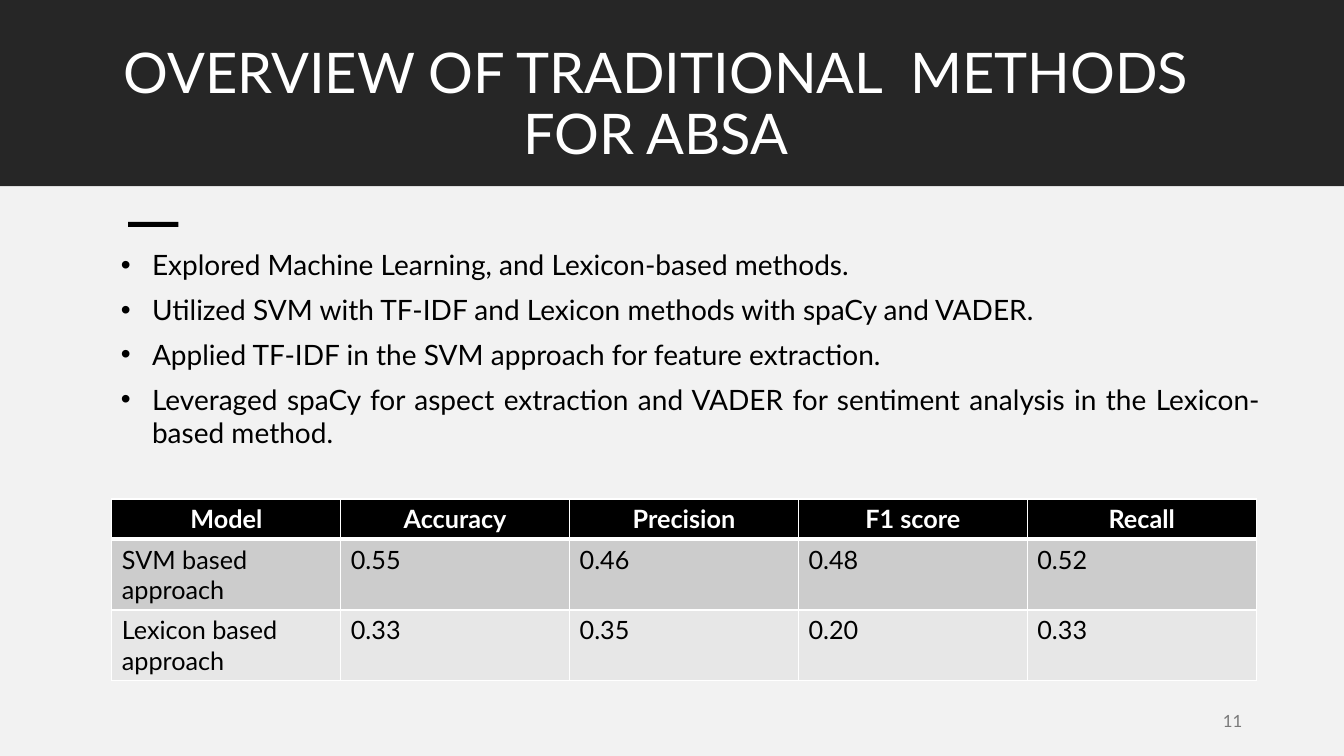
from dataclasses import dataclass

from lxml import etree
from pptx import Presentation
from pptx.dml.color import RGBColor
from pptx.enum.shapes import MSO_SHAPE
from pptx.enum.text import MSO_ANCHOR, MSO_AUTO_SIZE, PP_ALIGN
from pptx.oxml.ns import qn
from pptx.util import Inches, Pt

RECT = MSO_SHAPE.RECTANGLE
LEFT, CENTER, RIGHT = PP_ALIGN.LEFT, PP_ALIGN.CENTER, PP_ALIGN.RIGHT
JUSTIFY = PP_ALIGN.JUSTIFY
TOP, MIDDLE = MSO_ANCHOR.TOP, MSO_ANCHOR.MIDDLE
NO_AUTOFIT = MSO_AUTO_SIZE.NONE
TITLE_ONLY = 5


@dataclass(frozen=True)
class Theme:
    """Colours, font and type sizes of the slide."""
    font: str = "Lato"
    band: str = "262626"
    panel: str = "F2F2F2"
    ink: str = "000000"
    paper: str = "FFFFFF"
    muted: str = "797979"
    row_fills: tuple = ("CCCCCC", "E7E7E7")
    title: int = 40
    body: int = 20
    cell: int = 18
    number: int = 12


THEME = Theme()

TITLE = "OVERVIEW OF TRADITIONAL  METHODS FOR ABSA"
POINTS = [
    "Explored Machine Learning, and Lexicon-based methods.",
    "Utilized SVM with TF-IDF and Lexicon methods with spaCy and VADER.",
    "Applied TF-IDF in the SVM approach for feature extraction.",
    "Leveraged spaCy for aspect extraction and VADER for sentiment analysis "
    "in the Lexicon-based method.",
]
RESULTS = [
    ["Model", "Accuracy", "Precision", "F1 score", "Recall"],
    ["SVM based approach", "0.55", "0.46", "0.48", "0.52"],
    ["Lexicon based approach", "0.33", "0.35", "0.20", "0.33"],
]


def add_run(p, text, size, color, bold=False):
    """Append a formatted run to a paragraph."""
    r = p.add_run()
    r.text = text
    r.font.name = THEME.font
    r.font.size = Pt(size)
    r.font.bold = bold
    r.font.color.rgb = RGBColor.from_string(color)


def add_rect(slide, x, y, w, h, color):
    """Draw a plain filled rectangle."""
    sp = slide.shapes.add_shape(RECT, Inches(x), Inches(y), Inches(w), Inches(h))
    sp.shadow.inherit = False
    sp.fill.solid()
    sp.fill.fore_color.rgb = RGBColor.from_string(color)
    sp.line.fill.background()
    return sp


def add_text_box(slide, x, y, w, h, anchor=TOP):
    """Add a wrapping text box and return its text frame."""
    sp = slide.shapes.add_textbox(Inches(x), Inches(y), Inches(w), Inches(h))
    tf = sp.text_frame
    tf.word_wrap = True
    tf.vertical_anchor = anchor
    return tf


def set_title(slide, band):
    """Place and format the title in front of its band."""
    sp = slide.shapes.title
    band.element.addnext(sp.element)
    sp.left, sp.top = Inches(1.1), Inches(0.4)
    sp.width, sp.height = Inches(10.81), Inches(0.98)
    tf = sp.text_frame
    tf.word_wrap = True
    tf.auto_size = NO_AUTOFIT
    tf.vertical_anchor = TOP
    p = tf.paragraphs[0]
    p.alignment = CENTER
    p.line_spacing = 0.9
    p.space_before = Pt(0)
    add_run(p, TITLE, THEME.title, THEME.paper)


def add_bullet(p, indent):
    """Give a paragraph a round bullet with a hanging indent."""
    pPr = p._p.get_or_add_pPr()
    pPr.set("marL", str(Inches(indent)))
    pPr.set("indent", str(-Inches(indent)))
    etree.SubElement(pPr, qn("a:buFont"), typeface="Arial")
    etree.SubElement(pPr, qn("a:buChar"), char="•")


def add_points(slide):
    """Add the bulleted list."""
    tf = add_text_box(slide, 1.1, 2.41, 11.5, 2.57)
    for i, text in enumerate(POINTS):
        p = tf.add_paragraph() if i else tf.paragraphs[0]
        add_bullet(p, 0.31)
        p.alignment = JUSTIFY
        p.space_after = Pt(8)
        add_run(p, text, THEME.body, THEME.ink)


def set_borders(cell, widths):
    """Draw cell borders from a map of side to width in points."""
    tcPr = cell._tc.get_or_add_tcPr()
    for i, (side, width) in enumerate(widths.items()):
        ln = etree.Element(qn(f"a:ln{side}"), w=str(Pt(width)))
        fill = etree.SubElement(ln, qn("a:solidFill"))
        etree.SubElement(fill, qn("a:srgbClr"), val=THEME.paper)
        tcPr.insert(i, ln)


def add_results(slide):
    """Add the table of model scores."""
    heights = [0.4, 0.7, 0.7]
    col_width = 2.27
    cols = len(RESULTS[0])
    frame = slide.shapes.add_table(
        len(RESULTS), cols, Inches(1.11), Inches(4.95),
        Inches(col_width * cols), Inches(sum(heights)))
    table = frame.table
    for col in table.columns:
        col.width = Inches(col_width)
    fills = (THEME.ink, *THEME.row_fills)
    for i, (values, height, fill) in enumerate(zip(RESULTS, heights, fills)):
        table.rows[i].height = Inches(height)
        header = i == 0
        for j, text in enumerate(values):
            cell = table.cell(i, j)
            cell.fill.solid()
            cell.fill.fore_color.rgb = RGBColor.from_string(fill)
            set_borders(cell, {"L": 1, "R": 1, "T": 3 if i == 1 else 1,
                               "B": 3 if header else 1})
            p = cell.text_frame.paragraphs[0]
            p.alignment = CENTER if header else LEFT
            add_run(p, text, THEME.cell,
                    THEME.paper if header else THEME.ink, header)


def add_number(slide, text):
    """Add the slide number at the lower right."""
    tf = add_text_box(slide, 9.42, 6.95, 3, 0.4, MIDDLE)
    p = tf.paragraphs[0]
    p.alignment = RIGHT
    add_run(p, text, THEME.number, THEME.muted)


def main():
    """Build and save the slide."""
    prs = Presentation()
    prs.slide_width, prs.slide_height = Inches(13.33), Inches(7.5)
    slide = prs.slides.add_slide(prs.slide_layouts[TITLE_ONLY])
    band = add_rect(slide, 0, 0, 13.33, 1.85, THEME.band)
    set_title(slide, band)
    add_rect(slide, 0, 1.85, 13.33, 5.65, THEME.panel)
    add_rect(slide, 1.27, 2.2, 0.5, 0.05, THEME.ink)
    add_points(slide)
    add_results(slide)
    add_number(slide, "11")
    prs.save("out.pptx")


if __name__ == "__main__":
    main()
